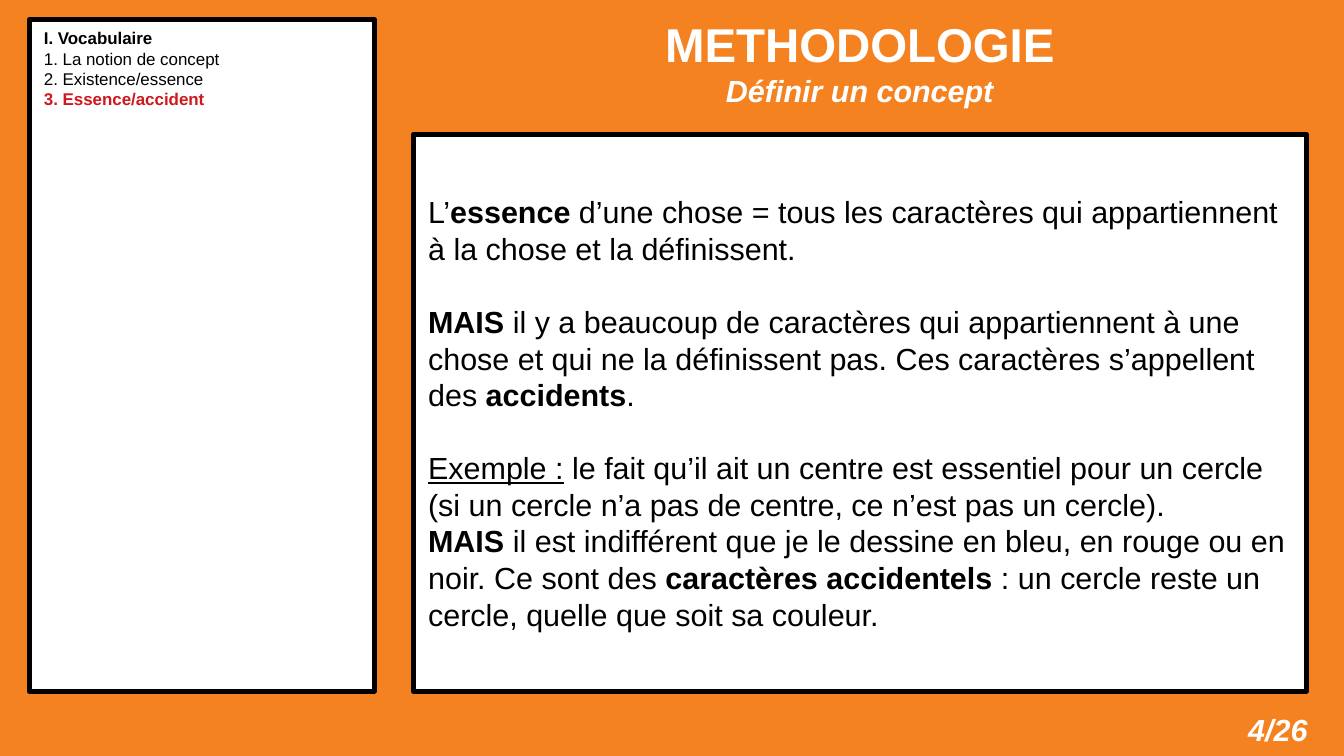
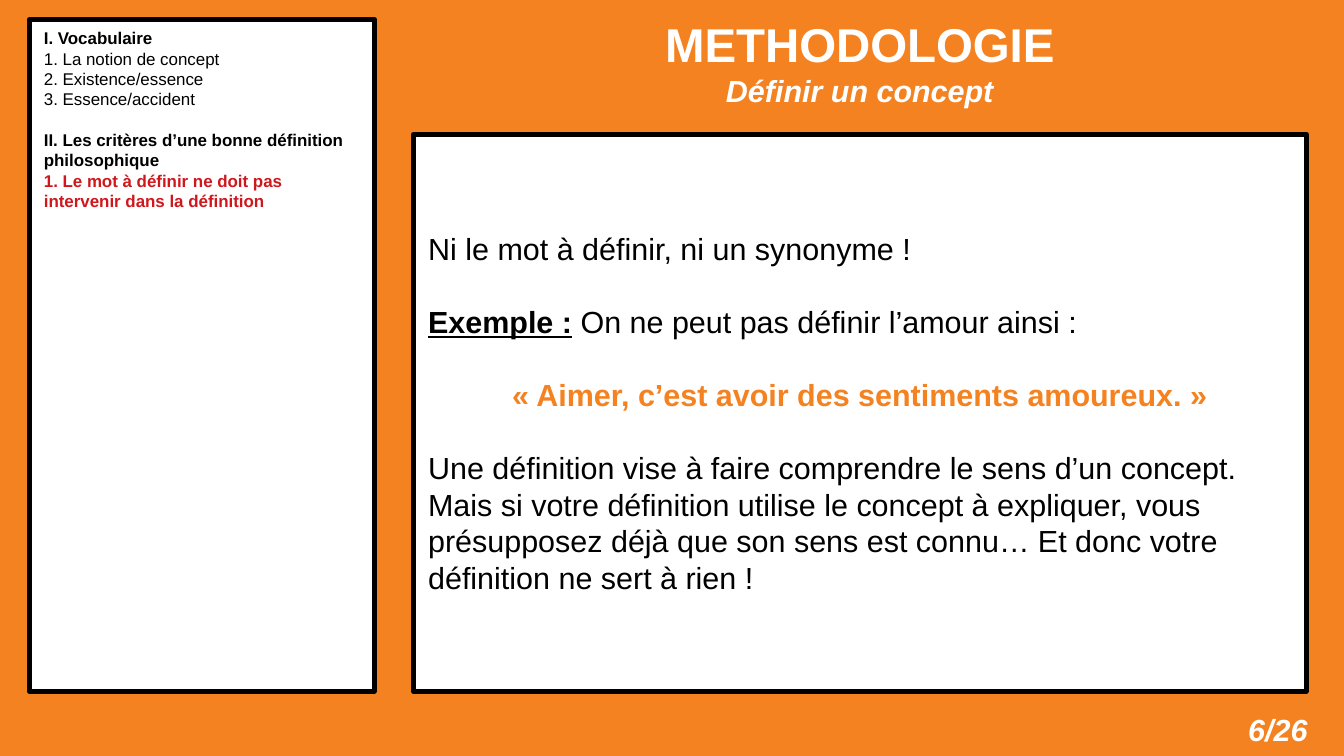
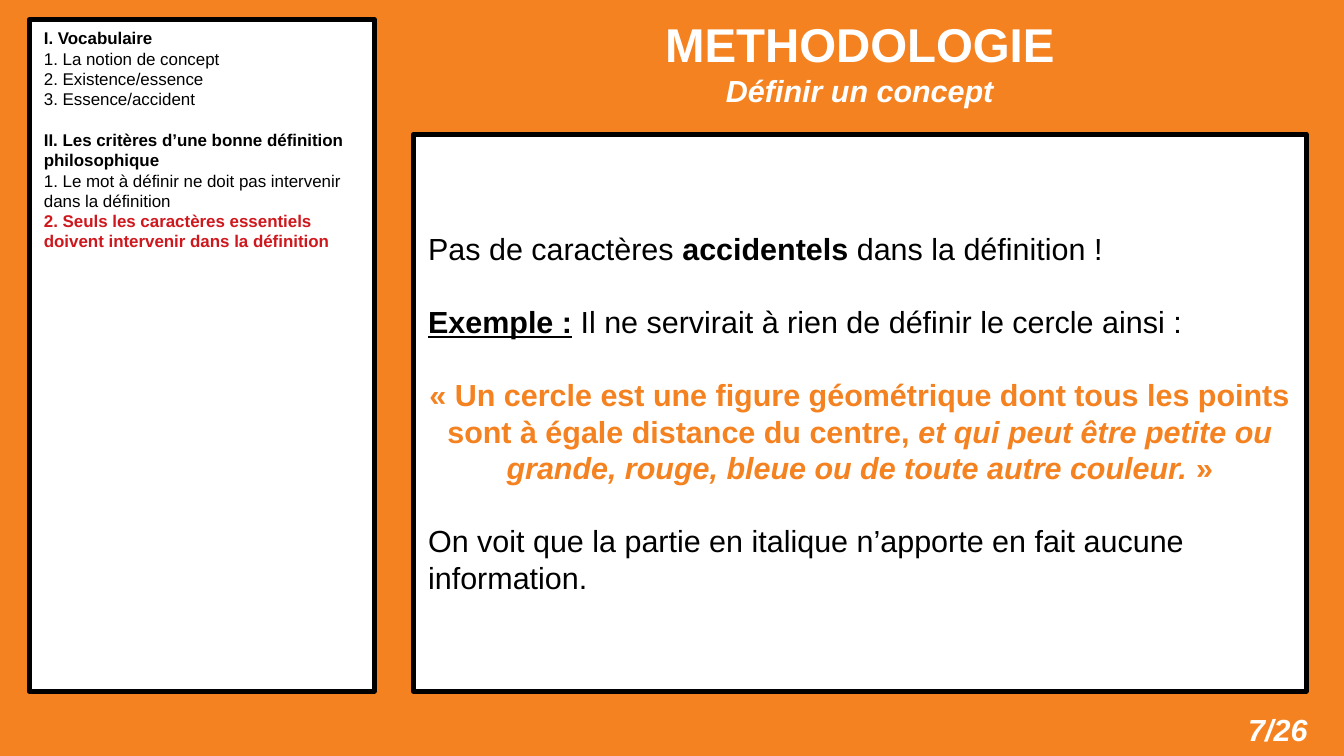
"""Build three slides of a lesson on defining a concept."""
from dataclasses import dataclass

from lxml import etree
from pptx import Presentation
from pptx.dml.color import RGBColor
from pptx.enum import shapes, text
from pptx.oxml import ns
from pptx.util import Inches, Pt

ORANGE, RED, BLACK, WHITE = "F58220", "CE181E", "000000", "FFFFFF"
FONT = "Arial"
LINE_RATIO = 1.2
TITLE_SIZE, TEXT_SIZE, OUTLINE_SIZE = 28, 18, 10
PAGE_COUNT = 26
MAIN_LEFT, MAIN_WIDTH = 3.39, 7.32
PANEL_BOTTOM = 5.67
PANEL_MARGINS = (0.12, 0.07)
TEXT_MARGINS = (0.1, 0.05)

OUTLINE = [
    ("I. Vocabulaire", [
        "1. La notion de concept",
        "2. Existence/essence",
        "3. Essence/accident",
    ]),
    ("II. Les critères d’une bonne définition philosophique", [
        "1. Le mot à définir ne doit pas intervenir dans la définition",
        "2. Seuls les caractères essentiels doivent intervenir dans la définition",
    ]),
]


@dataclass
class Line:
    """A paragraph made of (text, style letters) runs."""
    runs: list
    gap: bool = False
    color: str = BLACK
    align: text.PP_ALIGN = text.PP_ALIGN.LEFT
    size: int = TEXT_SIZE


def quote(*runs):
    """Return a centred orange example definition."""
    return Line(list(runs), True, ORANGE, text.PP_ALIGN.CENTER)


LESSONS = [
    (4, OUTLINE[0][1][2], [
        Line([("L’", ""), ("essence ", "b"),
              ("d’une chose = tous les caractères qui appartiennent à la chose "
               "et la définissent.", "")]),
        Line([("MAIS", "b"),
              (" il y a beaucoup de caractères qui appartiennent à une chose et "
               "qui ne la définissent pas. Ces caractères s’appellent des ", ""),
              ("accidents", "b"), (".", "")], gap=True),
        Line([("Exemple :", "u"),
              (" le fait qu’il ait un centre est essentiel pour un cercle (si un "
               "cercle n’a pas de centre, ce n’est pas un cercle).", "")], gap=True),
        Line([("MAIS", "b"),
              (" il est indifférent que je le dessine en bleu, en rouge ou en "
               "noir. Ce sont des ", ""),
              ("caractères accidentels", "b"),
              (" : un cercle reste un cercle, quelle que soit sa couleur.", "")]),
    ]),
    (6, OUTLINE[1][1][0], [
        Line([("Ni le mot à définir, ni un synonyme !", "")]),
        Line([("Exemple :", "bu"),
              (" On ne peut pas définir l’amour ainsi :", "")], gap=True),
        quote(("« Aimer, c’est avoir des sentiments amoureux. »", "b")),
        Line([("Une définition vise à faire comprendre le sens d’un concept.", "")],
             gap=True),
        Line([("Mais si votre définition utilise le concept à expliquer, vous "
               "présupposez déjà que son sens est connu… Et donc votre définition "
               "ne sert à rien !", "")]),
    ]),
    (7, OUTLINE[1][1][1], [
        Line([("Pas de caractères ", ""), ("accidentels", "b"),
              (" dans la définition !", "")]),
        Line([("Exemple :", "bu"),
              (" Il ne servirait à rien de définir le cercle ainsi :", "")],
             gap=True),
        quote(("« Un cercle est une figure géométrique dont tous les points sont à "
               "égale distance du centre,", "b"),
              (" et qui peut être petite ou grande, rouge, bleue ou de toute autre "
               "couleur.", "bi"),
              (" »", "b")),
        Line([("On voit que la partie en italique n’apporte en fait aucune "
               "information.", "")], gap=True),
    ]),
]


def paint(fill, color):
    """Make a fill solid in a hex colour."""
    fill.solid()
    fill.fore_color.rgb = RGBColor.from_string(color)


def place(shape, left, top, width, height):
    """Set a shape's position and size in inches."""
    shape.left, shape.top = Inches(left), Inches(top)
    shape.width, shape.height = Inches(width), Inches(height)


def write(shape, lines, margins, anchor):
    """Fill a shape's text frame with formatted lines."""
    frame = shape.text_frame
    frame.word_wrap = True
    frame.auto_size = text.MSO_AUTO_SIZE.NONE
    frame.vertical_anchor = anchor
    frame.margin_left = frame.margin_right = Inches(margins[0])
    frame.margin_top = frame.margin_bottom = Inches(margins[1])
    for index, line in enumerate(lines):
        paragraph = frame.add_paragraph() if index else frame.paragraphs[0]
        properties = paragraph._p.get_or_add_pPr()
        properties.set("marL", "0")
        properties.set("indent", "0")
        etree.SubElement(properties, ns.qn("a:buNone"))
        paragraph.alignment = line.align
        paragraph.line_spacing = Pt(line.size * LINE_RATIO)
        paragraph.space_before = Pt(line.size * LINE_RATIO if line.gap else 0)
        for words, style in line.runs:
            run = paragraph.add_run()
            run.text = words
            run.font.name, run.font.size = FONT, Pt(line.size)
            run.font.bold = "b" in style
            run.font.italic = "i" in style
            run.font.underline = "u" in style
            run.font.color.rgb = RGBColor.from_string(line.color)


def frame_panel(panel):
    """Give a panel its white fill and thick black outline."""
    paint(panel.fill, WHITE)
    paint(panel.line.fill, BLACK)
    panel.line.width = Pt(2.83)
    etree.SubElement(panel.line._get_or_add_ln(), ns.qn("a:round"))


def outline_lines(current):
    """List the outline up to the current entry, which is highlighted."""
    lines = []
    for heading, entries in OUTLINE:
        lines.append(Line([(heading, "b")], gap=bool(lines), size=OUTLINE_SIZE))
        for entry in entries:
            if entry == current:
                lines.append(Line([(entry, "b")], color=RED, size=OUTLINE_SIZE))
                return lines
            lines.append(Line([(entry, "")], size=OUTLINE_SIZE))
    return lines


def add_title(slide):
    """Write the lesson title and its subtitle."""
    place(slide.shapes.title, MAIN_LEFT, 0, MAIN_WIDTH, 1.02)
    center = text.PP_ALIGN.CENTER
    write(slide.shapes.title, [
        Line([("METHODOLOGIE", "b")], color=WHITE, align=center, size=TITLE_SIZE),
        Line([("Définir un concept", "bi")], color=WHITE, align=center),
    ], TEXT_MARGINS, text.MSO_ANCHOR.MIDDLE)


def add_page_number(slide, number):
    """Write the page number at the bottom right."""
    page = slide.shapes.add_textbox(
        Inches(9.76), Inches(5.78), Inches(1.06), Inches(0.42))
    write(page, [Line([(f"{number}/{PAGE_COUNT}", "bi")], color=WHITE,
                      align=text.PP_ALIGN.RIGHT)],
          TEXT_MARGINS, text.MSO_ANCHOR.TOP)


def add_outline(slide, current):
    """Draw the outline panel on the left."""
    top = 0.16
    panel = slide.shapes.add_shape(
        shapes.MSO_SHAPE.RECTANGLE, Inches(0.24), Inches(top),
        Inches(2.83), Inches(PANEL_BOTTOM - top))
    panel.shadow.inherit = False
    frame_panel(panel)
    write(panel, outline_lines(current), PANEL_MARGINS, text.MSO_ANCHOR.TOP)


def add_explanation(slide, lines):
    """Fill the body placeholder as the main panel."""
    top = 1.1
    body = slide.placeholders[1]
    place(body, MAIN_LEFT, top, MAIN_WIDTH, PANEL_BOTTOM - top)
    frame_panel(body)
    write(body, lines, PANEL_MARGINS, text.MSO_ANCHOR.MIDDLE)


def main():
    """Build and save the presentation."""
    deck = Presentation()
    deck.slide_width, deck.slide_height = Inches(11.02), Inches(6.2)
    paint(deck.slide_master.background.fill, ORANGE)
    for number, current, lines in LESSONS:
        slide = deck.slides.add_slide(deck.slide_layouts[1])
        add_title(slide)
        add_page_number(slide, number)
        add_outline(slide, current)
        add_explanation(slide, lines)
    deck.save("out.pptx")


if __name__ == "__main__":
    main()
